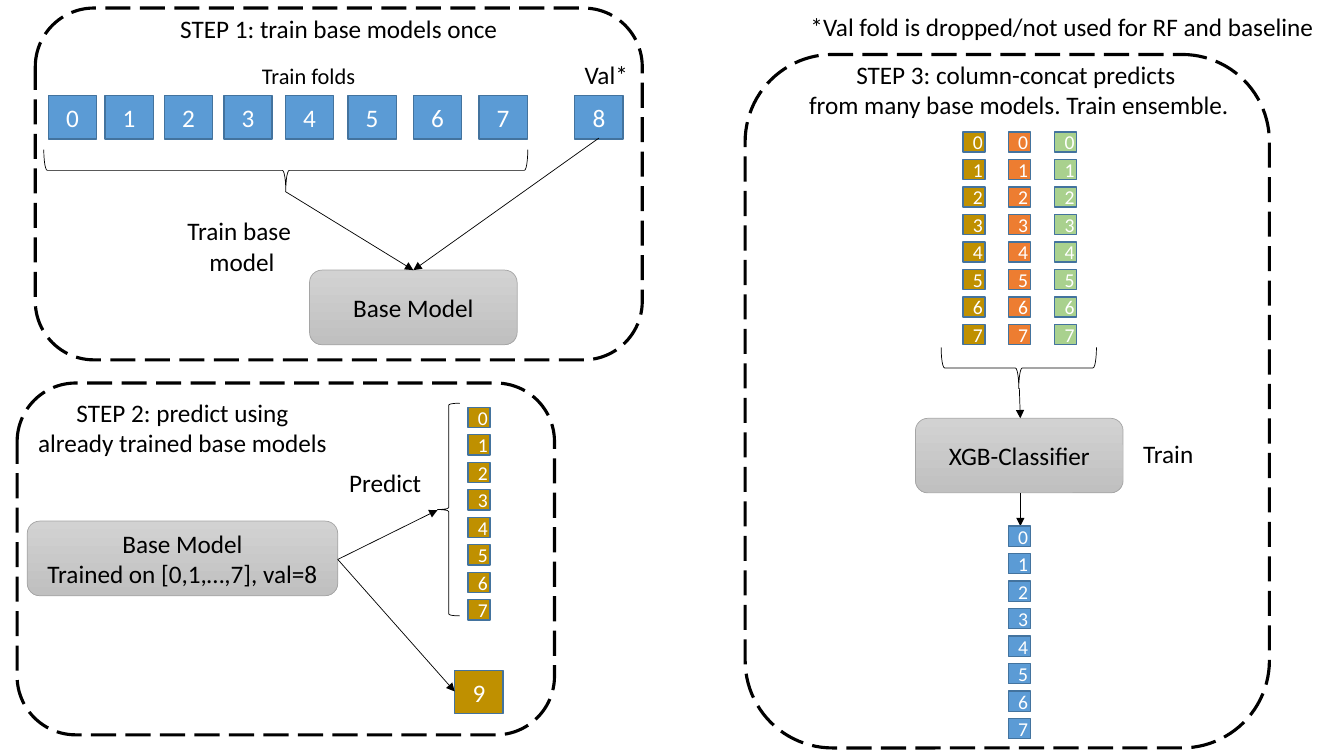
from lxml.etree import SubElement
from pptx import Presentation
from pptx.dml.color import RGBColor
from pptx.enum.dml import MSO_LINE
from pptx.enum.shapes import MSO_CONNECTOR, MSO_SHAPE
from pptx.enum.text import MSO_ANCHOR, MSO_AUTO_SIZE, PP_ALIGN
from pptx.oxml.ns import qn
from pptx.util import Inches, Pt

BLUE, GOLD, ORANGE, GREEN = "5B9BD5", "BF9000", "ED7D31", "A9D18E"
BLACK, WHITE, CELL_EDGE, MODEL_EDGE = "000000", "FFFFFF", "43739E", "A5A5A5"
MODEL_TOP, MODEL_BOTTOM = "D2D2D2", "C0C0C0"
FOLDS = range(8)
FOLD_PITCH = 1.91 / 7


def color(value):
    return RGBColor.from_string(value)


def apply(target, values):
    for name, value in values.items():
        setattr(target, name, value)


class Diagram:
    font = {"name": "Calibri"}
    label_frame = {"word_wrap": False, "auto_size": MSO_AUTO_SIZE.SHAPE_TO_FIT_TEXT}
    shape_frame = {"word_wrap": True, "vertical_anchor": MSO_ANCHOR.MIDDLE}

    def __init__(self, slide):
        self.slide = slide

    def set_text(self, shape, text, size, ink, align, frame):
        apply(shape.text_frame, frame)
        shape.text_frame.text = text
        for paragraph in shape.text_frame.paragraphs:
            paragraph.alignment = align
            apply(paragraph.font, {**self.font, "size": Pt(size)})
            paragraph.font.color.rgb = color(ink)

    def label(self, box, text, size=18, align=PP_ALIGN.CENTER):
        shape = self.slide.shapes.add_textbox(*map(Inches, box))
        self.set_text(shape, text, size, BLACK, align, self.label_frame)

    def outline(self, kind, box, edge, width, rotation=0):
        shape = self.slide.shapes.add_shape(kind, *map(Inches, box))
        shape.shadow.inherit = False
        shape.fill.background()
        shape.line.color.rgb = color(edge)
        shape.line.width = Pt(width)
        shape.rotation = rotation
        return shape

    def panel(self, box, rotation=0):
        shape = self.outline(MSO_SHAPE.ROUNDED_RECTANGLE, box, BLACK, 2.25, rotation)
        shape.line.dash_style = MSO_LINE.LONG_DASH

    def brace(self, box, rotation=0):
        self.outline(MSO_SHAPE.LEFT_BRACE, box, BLACK, 0.5, rotation)

    def cell(self, box, text, fill, size):
        shape = self.outline(MSO_SHAPE.RECTANGLE, box, CELL_EDGE, 1)
        shape.fill.solid()
        shape.fill.fore_color.rgb = color(fill)
        self.set_text(shape, text, size, WHITE, PP_ALIGN.CENTER, self.shape_frame)

    def large_fold(self, left, top, number, fill):
        self.cell((left, top, 0.48, 0.43), str(number), fill, 18)

    def fold_column(self, left, top, fill):
        for fold in FOLDS:
            self.cell((left, top + fold * FOLD_PITCH, 0.22, 0.2), str(fold), fill, 14)

    def model(self, box, text):
        shape = self.outline(MSO_SHAPE.ROUNDED_RECTANGLE, box, MODEL_EDGE, 0.5)
        shape.fill.gradient()
        shape.fill.gradient_angle = 270
        for stop, value in zip(shape.fill.gradient_stops, (MODEL_TOP, MODEL_BOTTOM)):
            stop.color.rgb = color(value)
        self.set_text(shape, text, 18, BLACK, PP_ALIGN.CENTER, self.shape_frame)

    def arrow(self, start, end):
        connector = self.slide.shapes.add_connector(
            MSO_CONNECTOR.STRAIGHT, *map(Inches, (*start, *end)))
        connector.line.color.rgb = color(BLACK)
        connector.line.width = Pt(0.5)
        properties = connector.element.spPr
        SubElement(properties.find(qn("a:ln")), qn("a:tailEnd"), type="triangle")
        SubElement(properties, qn("a:effectLst"))


presentation = Presentation()
apply(presentation, {"slide_width": Inches(13.33), "slide_height": Inches(7.5)})
diagram = Diagram(presentation.slides.add_slide(presentation.slide_layouts[6]))

# Step 1: train the base model on folds 0-7, validate on fold 8
diagram.panel((0.35, 0.08, 6.02, 3.49))
diagram.label((1.67, 0.08, 3.38, 0.4), "STEP 1: train base models once")
diagram.label((2.5, 0.57, 1.14, 0.37), "Train folds", 16, PP_ALIGN.LEFT)
diagram.label((5.7, 0.54, 0.64, 0.4), "Val*", align=PP_ALIGN.LEFT)
for number, left in enumerate((0.48, 1.04, 1.63, 2.22, 2.83, 3.45, 4.1, 4.75, 5.7)):
    diagram.large_fold(left, 0.95, number, BLUE)
diagram.brace((2.63, -0.71, 0.41, 4.8), 270)
diagram.model((3.07, 2.68, 2.06, 0.74), "Base Model")
for start in ((5.94, 1.37), (2.83, 1.9)):
    diagram.arrow(start, (4.1, 2.68))
diagram.label((1.75, 2.09, 1.3, 0.71), "Train base \nmodel")

# Step 2: predict with the trained base model
diagram.panel((0.17, 3.8, 5.33, 3.49))
diagram.label((0.25, 3.89, 3.12, 0.71),
              "STEP 2: predict using\nalready trained base models")
diagram.label((3.36, 4.59, 0.92, 0.4), "Predict")
diagram.model((0.27, 5.17, 3.08, 0.74), "Base Model\nTrained on [0,1,…,7], val=8")
diagram.fold_column(4.64, 4.04, GOLD)
diagram.brace((4.34, 4, 0.22, 2.11))
diagram.large_fold(4.51, 6.65, 9, GOLD)
for end in ((4.51, 6.86), (4.34, 5.06)):
    diagram.arrow((3.35, 5.55), end)

# Step 3: combine the predictions and train the ensemble
diagram.label((7.94, 0.06, 5.25, 0.4),
              "*Val fold is dropped/not used for RF and baseline", align=PP_ALIGN.LEFT)
diagram.panel((6.55, 1.38, 6.88, 5.2), 90)
diagram.label((7.88, 0.54, 4.45, 0.71),
              "STEP 3: column-concat predicts \nfrom many base models. Train ensemble.")
for left, fill in ((9.55, GOLD), (10, ORANGE), (10.46, GREEN)):
    diagram.fold_column(left, 1.31, fill)
diagram.brace((9.9, 2.88, 0.41, 1.54), 270)
diagram.arrow((10.11, 3.85), (10.12, 4.15))
diagram.model((9.08, 4.15, 2.06, 0.74), "XGB-Classifier")
diagram.label((11.24, 4.3, 0.7, 0.4), "Train", align=PP_ALIGN.LEFT)
diagram.arrow((10.12, 4.89), (10.12, 5.22))
diagram.fold_column(10, 5.22, BLUE)

presentation.save("out.pptx")
